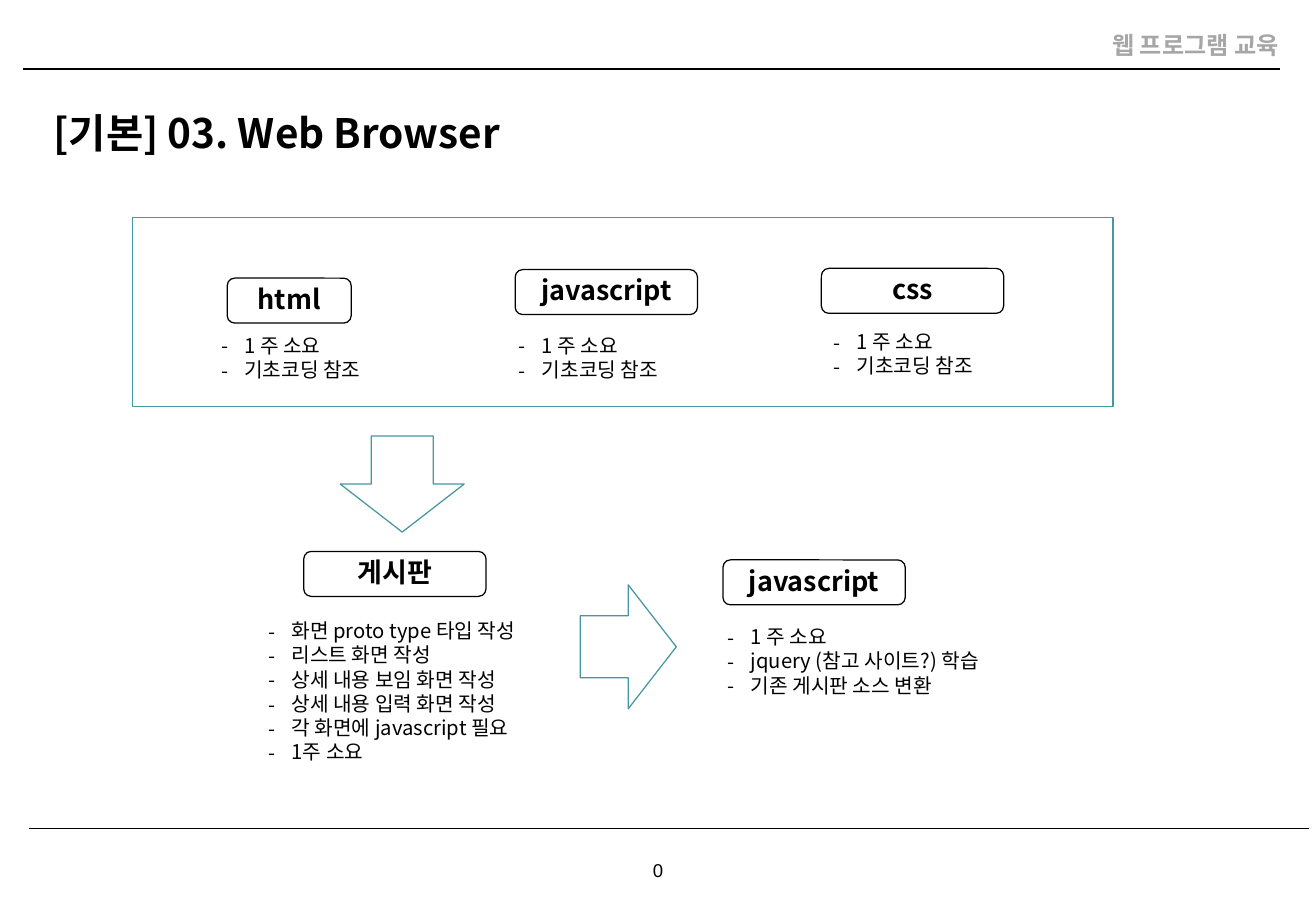
from dataclasses import dataclass

from lxml import etree
from pptx import Presentation
from pptx.dml.color import RGBColor
from pptx.enum.shapes import MSO_CONNECTOR, MSO_SHAPE
from pptx.enum.text import MSO_ANCHOR, MSO_AUTO_SIZE, PP_ALIGN
from pptx.oxml.ns import qn
from pptx.util import Inches, Pt

BLACK = RGBColor(0x00, 0x00, 0x00)
GREY = RGBColor(0xA6, 0xA6, 0xA6)
TEAL = RGBColor(0x45, 0x97, 0xA0)
KOREAN_FONT = "Noto Sans CJK KR"
NUMBER_FONT = "Arial"

STRAIGHT = MSO_CONNECTOR.STRAIGHT
RECTANGLE = MSO_SHAPE.RECTANGLE
ROUNDED = MSO_SHAPE.ROUNDED_RECTANGLE
DOWN_ARROW = MSO_SHAPE.DOWN_ARROW
TOP, MIDDLE = MSO_ANCHOR.TOP, MSO_ANCHOR.MIDDLE
LEFT, CENTER, RIGHT = PP_ALIGN.LEFT, PP_ALIGN.CENTER, PP_ALIGN.RIGHT
FIXED_SIZE = MSO_AUTO_SIZE.NONE

LABEL_HEIGHT = 0.37
LINE_HEIGHT = 0.2
COMPARISON_LAYOUT = 4


@dataclass(frozen=True)
class Frame:
    """Position and size in inches."""
    left: float
    top: float
    width: float
    height: float


@dataclass(frozen=True)
class Topic:
    """A labelled study topic with its list of tasks."""
    name: str
    label_left: float
    label_top: float
    label_width: float
    list_left: float
    list_top: float
    list_width: float
    tasks: tuple[str, ...]


COURSE_TASKS = ("1 주 소요", "기초코딩 참조")
BOARD_TASKS = (
    "화면 proto type 타입 작성",
    "리스트 화면 작성",
    "상세 내용 보임 화면 작성",
    "상세 내용 입력 화면 작성",
    "각 화면에 javascript 필요",
    "1주 소요",
)
SCRIPT_TASKS = ("1 주 소요", "jquery (참고 사이트?) 학습", "기존 게시판 소스 변환")

TOPICS = (
    Topic("html", 1.87, 2.29, 1.02, 1.72, 2.69, 1.57, COURSE_TASKS),
    Topic("javascript", 4.24, 2.22, 1.5, 4.17, 2.69, 1.88, COURSE_TASKS),
    Topic("css", 6.76, 2.21, 1.5, 6.76, 2.66, 1.48, COURSE_TASKS),
    Topic("게시판", 2.5, 4.54, 1.5, 2.11, 5.04, 2.59, BOARD_TASKS),
    Topic("javascript", 5.95, 4.61, 1.5, 5.89, 5.09, 2.51, SCRIPT_TASKS),
)


def place(box, frame: Frame) -> None:
    """Move and size a box."""
    box.left, box.top = Inches(frame.left), Inches(frame.top)
    box.width, box.height = Inches(frame.width), Inches(frame.height)


def add_text_box(page, frame: Frame):
    """Add an empty text box."""
    return page.shapes.add_textbox(Inches(frame.left), Inches(frame.top),
                                   Inches(frame.width), Inches(frame.height))


def write(box, *lines: str, size: float, bold: bool = False,
          color: RGBColor = BLACK, font: str = KOREAN_FONT, align=LEFT,
          anchor=TOP, spacing: float = 1.0, wrap: bool = True,
          dashed: bool = False) -> None:
    """Fill a box with formatted paragraphs, one for each line."""
    frame = box.text_frame
    frame.auto_size = FIXED_SIZE
    frame.word_wrap = wrap
    frame.vertical_anchor = anchor
    for index, line in enumerate(lines):
        para = frame.add_paragraph() if index else frame.paragraphs[0]
        para.alignment = align
        para.line_spacing = spacing
        para.space_before = para.space_after = Pt(0)
        if dashed:
            add_dash(para)
        span = para.add_run()
        span.text = line
        span.font.size = Pt(size)
        span.font.bold = bold
        span.font.color.rgb = color
        span.font.name = font
        east_asian = etree.SubElement(span.font._element, qn("a:ea"))
        east_asian.set("typeface", font)


def add_dash(para) -> None:
    """Give a paragraph a dash bullet with a hanging indent."""
    properties = para._p.get_or_add_pPr()
    indent = Inches(0.19)
    properties.set("marL", str(indent))
    properties.set("indent", str(-indent))
    etree.SubElement(properties, qn("a:buFont")).set("typeface", KOREAN_FONT)
    etree.SubElement(properties, qn("a:buChar")).set("char", "-")


def add_outline(page, kind, frame: Frame, color: RGBColor, rotation: int = 0):
    """Add an unfilled preset shape with a thin outline."""
    shape = page.shapes.add_shape(kind, Inches(frame.left), Inches(frame.top),
                                  Inches(frame.width), Inches(frame.height))
    shape.shadow.inherit = False
    shape.fill.background()
    shape.line.color.rgb = color
    shape.line.width = Pt(0.75)
    shape.rotation = rotation
    return shape


def add_rule(page, left: float, right: float, height: float) -> None:
    """Add a horizontal black line across the page."""
    rule = page.shapes.add_connector(STRAIGHT, Inches(left), Inches(height),
                                     Inches(right), Inches(height))
    rule.line.color.rgb = BLACK
    rule.line.width = Pt(1)
    etree.SubElement(rule._element.spPr, qn("a:effectLst"))


def add_topic(page, topic: Topic, list_box) -> None:
    """Draw a topic label and write its tasks."""
    label = add_outline(page, ROUNDED, Frame(
        topic.label_left, topic.label_top, topic.label_width, LABEL_HEIGHT), BLACK)
    write(label, topic.name, size=16, bold=True, align=CENTER, anchor=MIDDLE,
          spacing=0.9)
    place(list_box, Frame(topic.list_left, topic.list_top, topic.list_width,
                          0.1 + LINE_HEIGHT * len(topic.tasks)))
    write(list_box, *topic.tasks, size=12, dashed=True)


def main() -> None:
    """Build the slide and save it."""
    deck = Presentation()
    deck.slide_width, deck.slide_height = Inches(10.83), Inches(7.5)
    page = deck.slides.add_slide(deck.slide_layouts[COMPARISON_LAYOUT])
    title, *bodies = list(page.placeholders)[:5]

    number = add_text_box(page, Frame(5.22, 7.04, 0.39, 0.27))
    write(number, "0", size=11, font=NUMBER_FONT, align=CENTER, anchor=MIDDLE,
          spacing=0.9, wrap=False)
    add_rule(page, 0.24, 10.77, 6.82)
    add_rule(page, 0.19, 10.53, 0.57)
    course = add_text_box(page, Frame(7.64, 0.2, 2.98, 0.36))
    write(course, "웹 프로그램 교육", size=14.3, bold=True, color=GREY, align=RIGHT)

    place(title, Frame(0.34, 0.84, 7.36, 0.5))
    write(title, "[기본] 03. Web Browser", size=24, bold=True)

    # The layout has four bodies, so the last topic gets a text box.
    last = TOPICS[-1]
    last_list = add_text_box(page, Frame(last.list_left, last.list_top,
                                         last.list_width, LINE_HEIGHT))
    for topic, list_box in zip(TOPICS, [*bodies, last_list]):
        add_topic(page, topic, list_box)

    add_outline(page, RECTANGLE, Frame(1.09, 1.79, 8.07, 1.56), TEAL)
    add_outline(page, DOWN_ARROW, Frame(2.8, 3.59, 1.02, 0.79), TEAL)
    add_outline(page, DOWN_ARROW, Frame(4.66, 4.93, 1.02, 0.79), TEAL, rotation=270)
    deck.save("out.pptx")


main()
